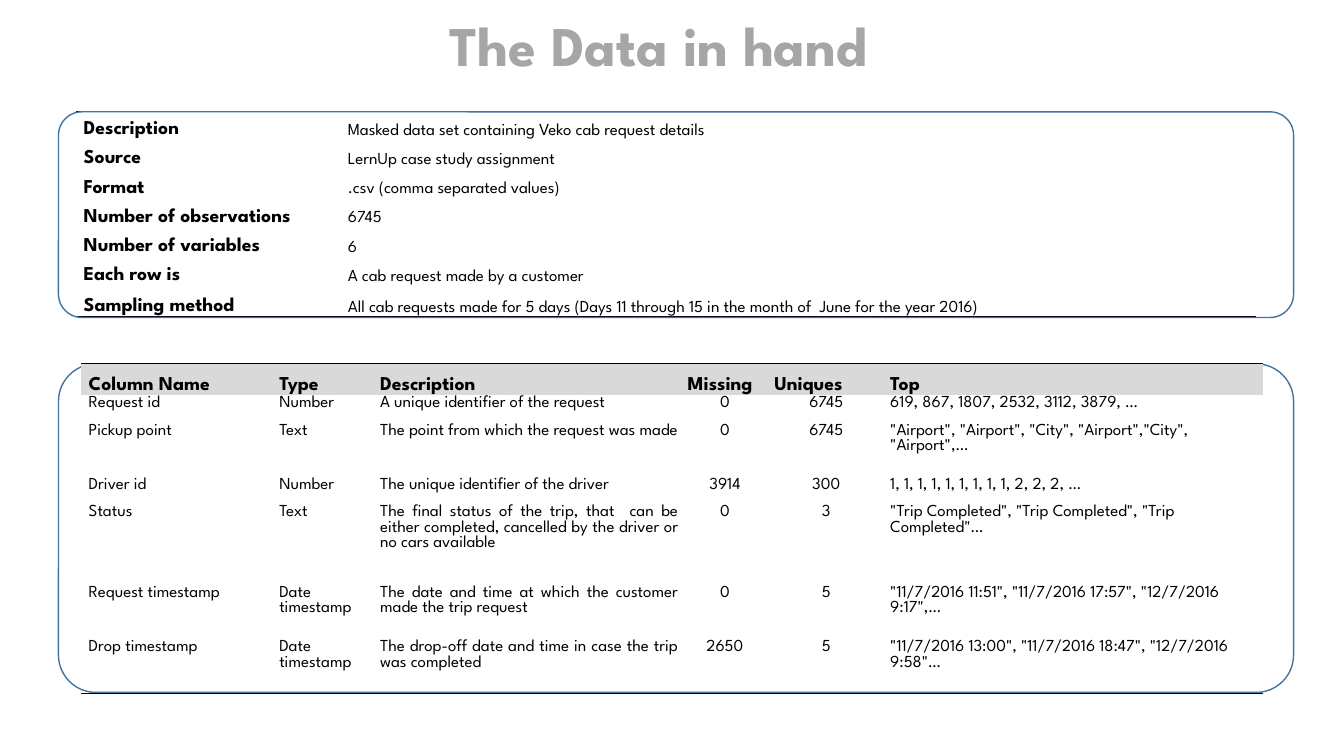
from dataclasses import dataclass

from lxml.etree import SubElement
from pptx import Presentation
from pptx.dml.color import RGBColor
from pptx.enum.shapes import MSO_SHAPE
from pptx.enum.text import MSO_ANCHOR, MSO_AUTO_SIZE, PP_ALIGN
from pptx.oxml.ns import qn
from pptx.util import Inches, Pt


@dataclass(frozen=True)
class Theme:
    """Colours, font and type sizes of the slide."""
    font: str = "League Spartan"
    ink: str = "000000"
    title: str = "A6A6A6"
    header: str = "D9D9D9"
    outline: str = "43739E"
    title_size: int = 40
    label_size: int = 14
    body_size: int = 12


@dataclass(frozen=True)
class Fact:
    """One row of the data set summary; span counts the merged value columns."""
    label: str
    value: str
    span: int = 2


@dataclass(frozen=True)
class Variable:
    """One row of the variable listing."""
    name: str
    kind: str
    description: str
    missing: str
    uniques: str
    top: str


THEME = Theme()
PANEL_LEFT, PANEL_WIDTH = 0.58, 12.25
FACTS_TOP, FACTS_HEIGHT = 1.11, 2.04
VARS_TOP, VARS_HEIGHT = 3.61, 3.26
FACT_COLS = [2.62, 1.7, 6.51, 0.88]
FACT_ROWS = [0.27, *[0.29] * 5, 0.31]
VAR_COLS = [1.89, 1, 3.05, 0.86, 1.15, 3.78]
VAR_ROWS = [0.31, 0.27, 0.54, 0.27, 0.8, 0.54, 0.54]
HEADINGS = ["Column Name", "Type", "Description", "Missing", "Uniques", "Top"]
VAR_ALIGNS = [PP_ALIGN.LEFT, PP_ALIGN.LEFT, PP_ALIGN.JUSTIFY,
              PP_ALIGN.CENTER, PP_ALIGN.CENTER, PP_ALIGN.LEFT]

FACTS = [
    Fact("Description", "Masked data set containing Veko cab request details"),
    Fact("Source", "LernUp case study assignment"),
    Fact("Format", ".csv (comma separated values)"),
    Fact("Number of observations", "6745", 1),
    Fact("Number of variables", "6", 1),
    Fact("Each row is", "A cab request made by a customer"),
    Fact("Sampling method", "All cab requests made for 5 days (Days 11 through 15 "
         "in the month of  June for the year 2016)", 3),
]
VARIABLES = [
    Variable("Request id", "Number", "A unique identifier of the request",
             "0", "6745", "619, 867, 1807, 2532, 3112, 3879, …"),
    Variable("Pickup point", "Text", "The point from which the request was made",
             "0", "6745", '"Airport", "Airport", "City", "Airport","City", "Airport",…'),
    Variable("Driver id", "Number", "The unique identifier of the driver",
             "3914", "300", "1, 1, 1, 1, 1, 1, 1, 1, 1, 2, 2, 2, …"),
    Variable("Status", "Text", "The final status of the trip, that  can be either "
             "completed, cancelled by the driver or no cars available",
             "0", "3", '"Trip Completed", "Trip Completed", "Trip Completed"…'),
    Variable("Request timestamp", "Date timestamp",
             "The date and time at which the customer made the trip request",
             "0", "5", '"11/7/2016 11:51", "11/7/2016 17:57", "12/7/2016 9:17",…'),
    Variable("Drop timestamp", "Date timestamp",
             "The drop-off date and time in case the trip was completed",
             "2650", "5", '"11/7/2016 13:00", "11/7/2016 18:47", "12/7/2016 9:58"…'),
]


def write(tf, text: str, *, size: int = THEME.body_size, bold: bool = False,
          color: str = THEME.ink, align=PP_ALIGN.LEFT):
    """Write one formatted paragraph into a text frame and return it."""
    p = tf.paragraphs[0]
    p.alignment = align
    if text:
        r = p.add_run()
        r.text = text
        r.font.name, r.font.size, r.font.bold = THEME.font, Pt(size), bold
        r.font.color.rgb = RGBColor.from_string(color)
    else:
        SubElement(p._p, qn("a:endParaRPr"), sz=str(size * 100))
    return p


def set_borders(cell, top: bool, bottom: bool) -> None:
    """Draw the requested horizontal borders and clear the others."""
    tcPr = cell._tc.get_or_add_tcPr()
    for tag, shown in (("lnL", False), ("lnR", False), ("lnT", top), ("lnB", bottom)):
        ln = SubElement(tcPr, qn(f"a:{tag}"), w=str(Pt(1)))
        if shown:
            fill = SubElement(ln, qn("a:solidFill"))
            SubElement(fill, qn("a:srgbClr"), val=THEME.ink)
        else:
            SubElement(ln, qn("a:noFill"))


def add_grid(s, left: float, top: float, cols: list[float], rows: list[float]):
    """Add a plain table ruled along its top and bottom edges."""
    frame = s.shapes.add_table(len(rows), len(cols), Inches(left), Inches(top),
                               Inches(sum(cols)), Inches(sum(rows)))
    table = frame.table
    table.first_row = table.horz_banding = False
    for column, width in zip(table.columns, cols):
        column.width = Inches(width)
    for i, height in enumerate(rows):
        table.rows[i].height = Inches(height)
        for cell in table.rows[i].cells:
            cell.margin_left, cell.margin_right = Inches(0.08), Inches(0.01)
            cell.margin_top, cell.margin_bottom = Inches(0.01), 0
            set_borders(cell, i == 0, i == len(rows) - 1)
            cell.fill.background()
    return table


def add_panel(s, top: float, height: float) -> None:
    """Add a rounded outline around a table."""
    sp = s.shapes.add_shape(MSO_SHAPE.ROUNDED_RECTANGLE, Inches(PANEL_LEFT), Inches(top),
                            Inches(PANEL_WIDTH), Inches(height))
    sp.adjustments[0] = 0.114
    sp.shadow.inherit = False
    sp.fill.background()
    sp.line.color.rgb = RGBColor.from_string(THEME.outline)
    sp.line.width = Pt(1)


def add_facts(s) -> None:
    """Add the data set summary."""
    table = add_grid(s, 0.75, FACTS_TOP, FACT_COLS, FACT_ROWS)
    for i, fact in enumerate(FACTS):
        if fact.span > 1:
            table.cell(i, 1).merge(table.cell(i, fact.span))
        for j, text in enumerate([fact.label, fact.value, "", ""]):
            cell = table.cell(i, j)
            cell.vertical_anchor = MSO_ANCHOR.BOTTOM
            write(cell.text_frame, text, bold=j == 0,
                  size=THEME.body_size if j else THEME.label_size)


def add_variables(s) -> None:
    """Add the variable listing with its shaded header."""
    table = add_grid(s, 0.8, VARS_TOP, VAR_COLS, VAR_ROWS)
    for j, heading in enumerate(HEADINGS):
        cell = table.cell(0, j)
        cell.fill.solid()
        cell.fill.fore_color.rgb = RGBColor.from_string(THEME.header)
        cell.vertical_anchor = MSO_ANCHOR.BOTTOM
        write(cell.text_frame, heading, size=THEME.label_size, bold=True)
    for i, v in enumerate(VARIABLES, 1):
        texts = [v.name, v.kind, v.description, v.missing, v.uniques, v.top]
        for j, (text, align) in enumerate(zip(texts, VAR_ALIGNS)):
            cell = table.cell(i, j)
            if align == PP_ALIGN.CENTER:
                cell.margin_right = Inches(0.04)
            write(cell.text_frame, text, align=align)


def add_title(s, text: str) -> None:
    """Place and format the title placeholder."""
    sp = s.shapes.title
    sp.left, sp.top, sp.width, sp.height = map(Inches, (2.07, 0.18, 8.92, 0.61))
    tf = sp.text_frame
    tf.word_wrap, tf.auto_size = True, MSO_AUTO_SIZE.NONE
    tf.vertical_anchor = MSO_ANCHOR.MIDDLE
    p = write(tf, text, size=THEME.title_size, bold=True, color=THEME.title,
              align=PP_ALIGN.CENTER)
    p.line_spacing = 0.9


prs = Presentation()
prs.slide_width, prs.slide_height = Inches(13.33), Inches(7.5)
s = prs.slides.add_slide(prs.slide_layouts[5])
add_title(s, "The Data in hand")
add_panel(s, VARS_TOP, VARS_HEIGHT)
add_facts(s)
add_variables(s)
add_panel(s, FACTS_TOP, FACTS_HEIGHT)
prs.save("out.pptx")
